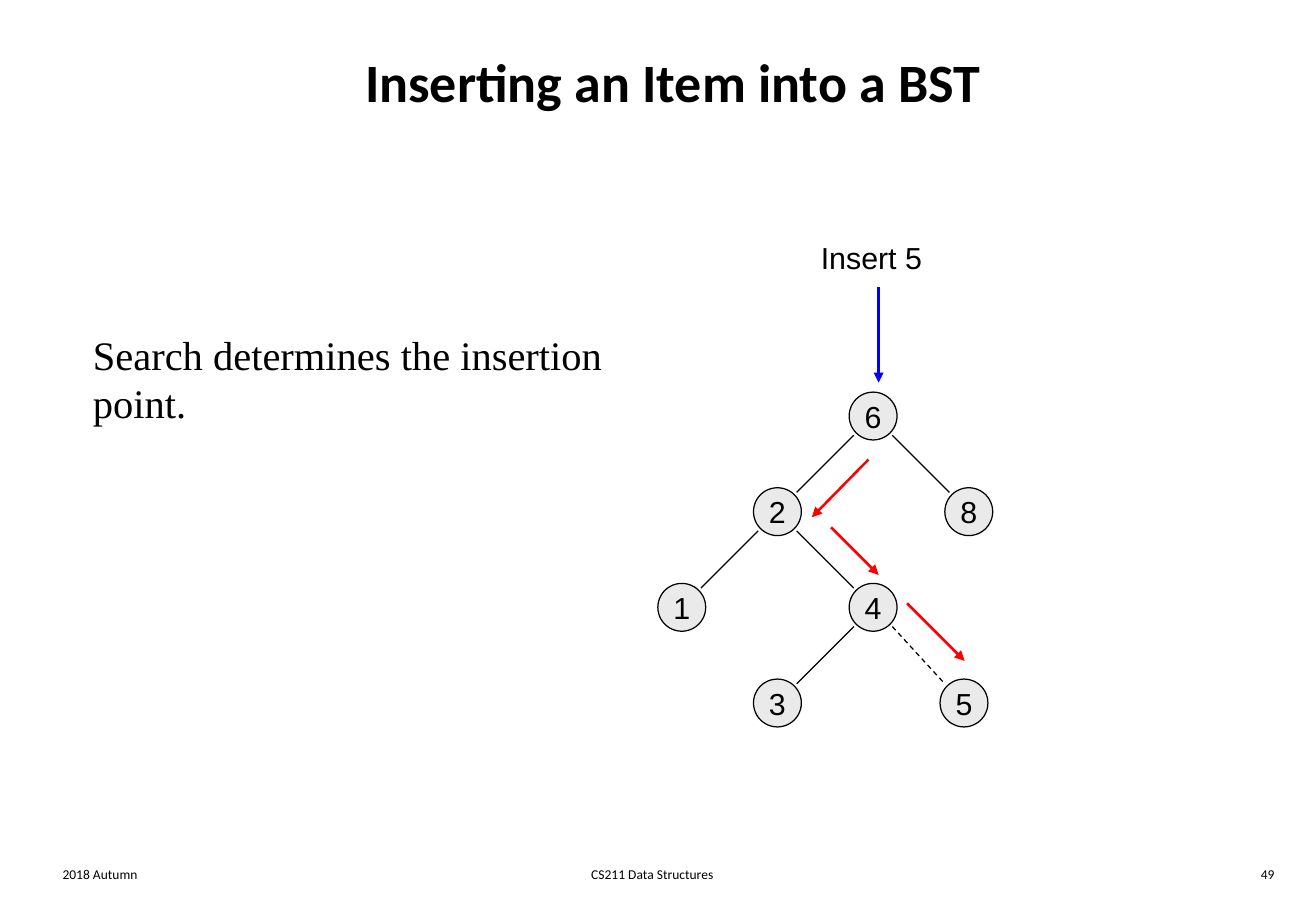
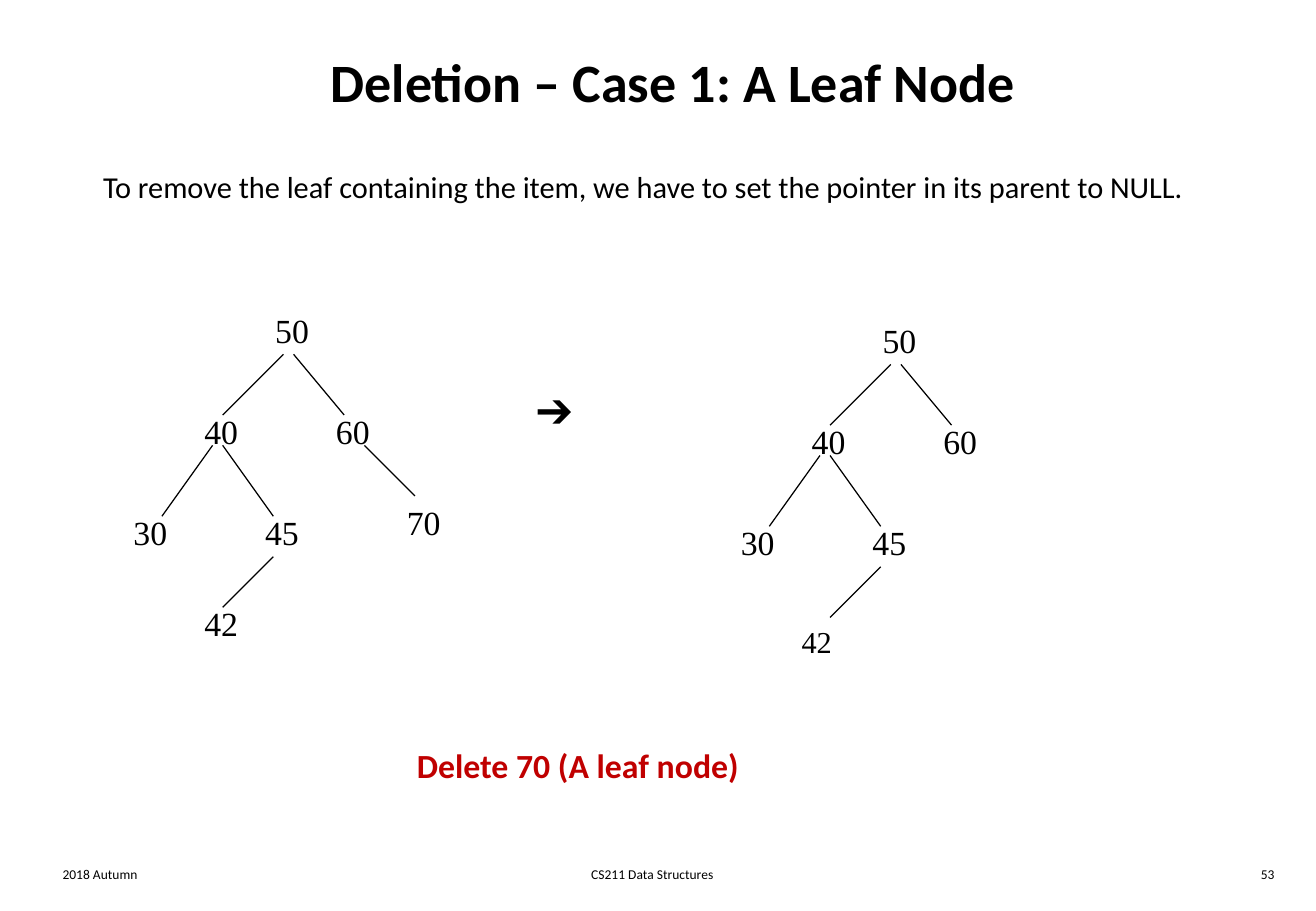
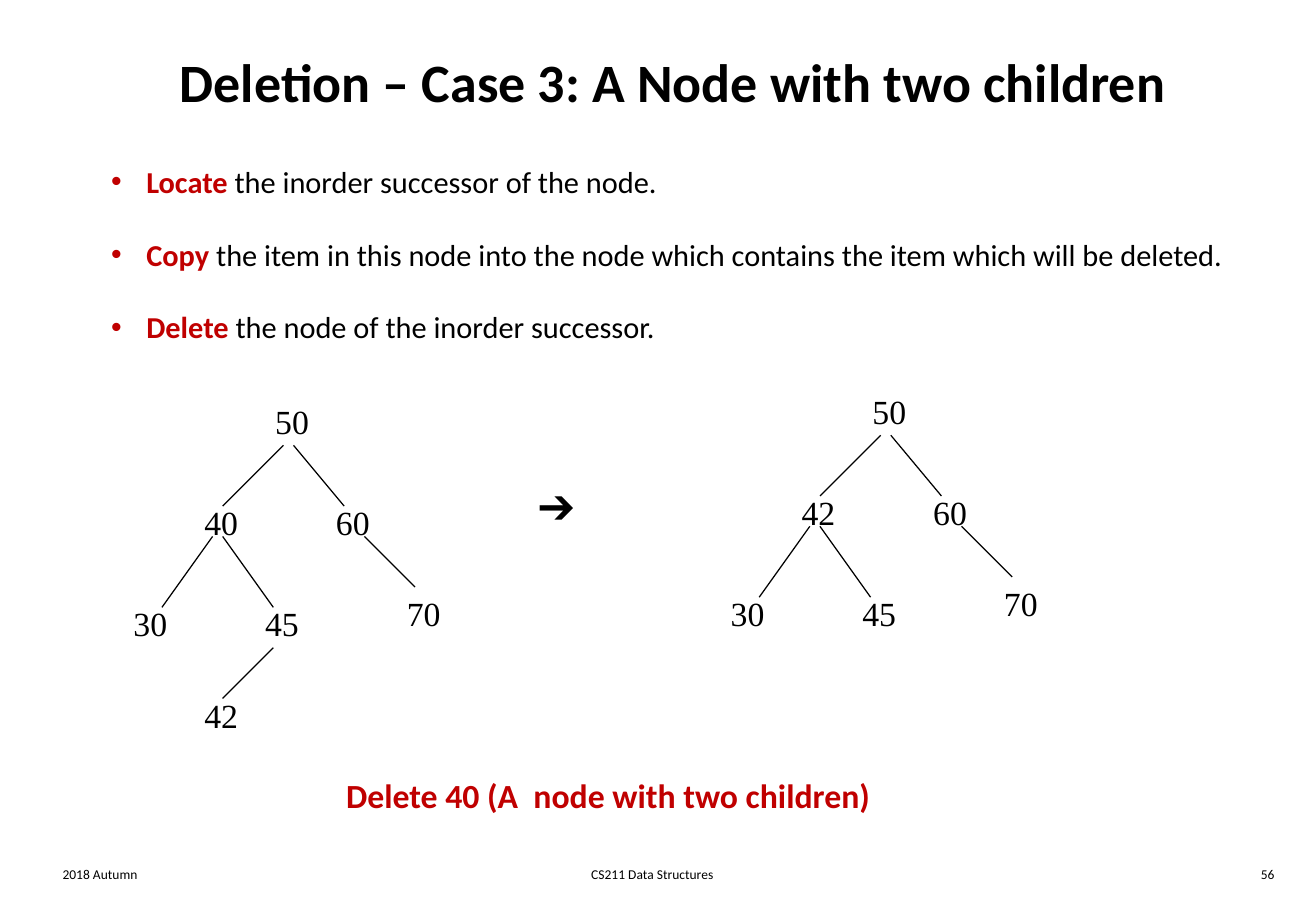
from dataclasses import dataclass, replace

from lxml.etree import SubElement
from pptx import Presentation
from pptx.dml.color import RGBColor
from pptx.enum.dml import MSO_LINE
from pptx.enum.shapes import MSO_CONNECTOR, MSO_SHAPE
from pptx.enum.text import MSO_ANCHOR, MSO_AUTO_SIZE, PP_ALIGN
from pptx.oxml.ns import qn
from pptx.util import Inches, Pt


@dataclass(frozen=True)
class Theme:
    """Colours, fonts and type sizes of the deck."""
    ink: str = "000000"
    accent: str = "C00000"
    node: str = "EAEAEA"
    entry: str = "0000FF"
    route: str = "FF0000"
    sans: str = "Calibri"
    serif: str = "Times New Roman"
    diagram: str = "Arial"
    title: int = 32
    lead: int = 24
    label: int = 20
    body: int = 18
    footer: int = 8
    thin: float = 0.75
    thick: float = 1.5


@dataclass(frozen=True)
class Slot:
    """A place in a deletion tree and the edge that leads to it, in grid cells."""
    column: float
    row: float
    edge: tuple = ()
    size: int = 20


THEME = Theme()
COLUMNS, ROWS = 130, 90
SLOTS = {
    "root": Slot(14, 0),
    "left": Slot(7, 10, (16, 5, 10, 11)),
    "right": Slot(20, 10, (17, 5, 22, 11)),
    "far left": Slot(0, 20, (9, 14, 4, 21)),
    "inner": Slot(13, 20, (10, 14, 15, 21)),
    "far right": Slot(27, 19, (24, 14, 29, 19)),
    "leaf": Slot(7, 29, (15, 25, 10, 30)),
}
FULL_TREE = {"root": "50", "left": "40", "right": "60", "far left": "30",
             "inner": "45", "far right": "70", "leaf": "42"}


def cells(*counts):
    """Turn counts of grid cells, a twelfth of an inch each, into lengths."""
    return [Inches(count / 12) for count in counts]


def style(span, size, font=THEME.sans, color=THEME.ink, bold=False):
    """Format one run of text."""
    span.font.size = Pt(size)
    span.font.name = font
    span.font.bold = bold
    span.font.color.rgb = RGBColor.from_string(color)


def write(box, text, size, align=PP_ALIGN.LEFT, **look):
    """Fill a shape with one formatted paragraph."""
    box.text_frame.text = text
    para = box.text_frame.paragraphs[0]
    para.alignment = align
    style(para.runs[0], size, **look)


def add_label(page, area, text, size, wrap=False, **look):
    """Add a text box at column, row, width, height."""
    box = page.shapes.add_textbox(*cells(*area))
    box.text_frame.word_wrap = wrap
    write(box, text, size, **look)


def add_line(page, ends, color=THEME.ink, width=THEME.thin, dashed=False, arrow=False):
    """Draw a straight line, if wanted dashed or with an arrowhead."""
    line = page.shapes.add_connector(MSO_CONNECTOR.STRAIGHT, *cells(*ends))
    line.line.color.rgb = RGBColor.from_string(color)
    line.line.width = Pt(width)
    if dashed:
        line.line.dash_style = MSO_LINE.DASH
    properties = line._element.spPr
    if arrow:
        SubElement(properties.find(qn("a:ln")), qn("a:tailEnd"), type="triangle")
    SubElement(properties, qn("a:effectLst"))


def add_page(deck, title, number):
    """Add a slide with its title and footer."""
    page = deck.slides.add_slide(deck.slide_layouts[5])
    heading = page.shapes.title
    heading.left, heading.top, heading.width, heading.height = cells(5, 2, 123, 12)
    write(heading, title, THEME.title, align=PP_ALIGN.CENTER, bold=True)
    heading.text_frame.vertical_anchor = MSO_ANCHOR.MIDDLE
    heading.text_frame.auto_size = MSO_AUTO_SIZE.NONE
    for column, width, text, align in (
            (5, 27.1, "2018 Autumn", PP_ALIGN.LEFT),
            (40.1, 48.7, "CS211 Data Structures", PP_ALIGN.CENTER),
            (100, 27.1, number, PP_ALIGN.RIGHT)):
        add_label(page, (column, 85, width, 3), text, THEME.footer, wrap=True, align=align)
    return page


def add_search_tree(page, nodes, edges, new_node):
    """Draw a tree of round nodes, with a dashed edge to the new node."""
    pitch, size, trim = 9.45, 4.73, 1.9
    centres = {name: (67.35 + pitch * column, 41.1 + pitch * row)
               for name, (column, row) in nodes.items()}
    for name, (x, y) in centres.items():
        node = page.shapes.add_shape(
            MSO_SHAPE.OVAL, *cells(x - size / 2, y - size / 2, size, size))
        node.shadow.inherit = False
        node.fill.solid()
        node.fill.fore_color.rgb = RGBColor.from_string(THEME.node)
        node.line.color.rgb = RGBColor.from_string(THEME.ink)
        node.line.width = Pt(THEME.thin)
        frame = node.text_frame
        frame.margin_left = frame.margin_right = frame.margin_top = frame.margin_bottom = 0
        frame.word_wrap = False
        frame.vertical_anchor = MSO_ANCHOR.MIDDLE
        write(node, name, THEME.body, align=PP_ALIGN.CENTER, font=THEME.diagram)
    for parent, child in edges:
        (x1, y1), (x2, y2) = centres[parent], centres[child]
        shift = trim if x2 > x1 else -trim
        add_line(page, (x1 + shift, y1 + trim, x2 - shift, y2 - trim),
                 dashed=child == new_node)


def add_deletion_tree(page, column, row, labels, slots=SLOTS):
    """Draw a tree of plain numbers from its top left grid cell."""
    for name, text in labels.items():
        slot = slots[name]
        if slot.edge:
            x1, y1, x2, y2 = slot.edge
            add_line(page, (column + x1, row + y1, column + x2, row + y2))
        add_label(page, (column + slot.column, row + slot.row, 5.75, 5.2),
                  text, slot.size, font=THEME.serif)


def add_steps(page, area, steps):
    """Add a bulleted list whose items open with a highlighted word."""
    frame = page.shapes.add_textbox(*cells(*area)).text_frame
    frame.word_wrap = False
    for index, (keyword, rest) in enumerate(steps):
        para = frame.add_paragraph() if index else frame.paragraphs[0]
        para.space_before = Pt(21.6 if index else 0)
        properties = para._p.get_or_add_pPr()
        properties.set("marL", str(Inches(0.29)))
        properties.set("indent", str(-Inches(0.29)))
        SubElement(properties, qn("a:buFont"), typeface=THEME.diagram)
        SubElement(properties, qn("a:buChar"), char="•")
        for text, color, bold in ((keyword, THEME.accent, True), (rest, THEME.ink, False)):
            span = para.add_run()
            span.text = text
            style(span, THEME.body, color=color, bold=bold)


def build_insertion(deck):
    """Build the slide on inserting an item."""
    page = add_page(deck, "Inserting an Item into a BST", "49")
    nodes = {"6": (2, 0), "2": (1, 1), "8": (3, 1), "1": (0, 2),
             "4": (2, 2), "3": (1, 3), "5": (2.95, 3)}
    add_search_tree(page, nodes, ("62", "68", "21", "24", "43", "45"), new_node="5")
    add_label(page, (79.9, 23, 12.4, 4.8), "Insert 5", THEME.body, font=THEME.diagram)
    add_line(page, (86.8, 28.4, 86.8, 37.8), THEME.entry, THEME.thick, arrow=True)
    for ends in ((85.8, 45.4, 80.2, 51.1), (82.1, 52.1, 86.8, 56.8), (89.6, 59.6, 95.3, 65.3)):
        add_line(page, ends, THEME.route, THEME.thick, arrow=True)
    add_label(page, (8, 32, 57, 10), "Search determines the insertion point.",
              THEME.lead, wrap=True, font=THEME.serif)


def build_leaf_deletion(deck):
    """Build the slide on deleting a leaf."""
    page = add_page(deck, "Deletion – Case 1: A Leaf Node", "53")
    add_label(page, (9, 16, 110.3, 4.8),
              "To remove the leaf containing the item, we have to set the pointer "
              "in its parent to NULL.", THEME.body)
    add_deletion_tree(page, 12, 30, FULL_TREE)
    add_label(page, (51.8, 37.5, 6.7, 6), "➔", THEME.lead, font=THEME.serif)
    remaining = {name: text for name, text in FULL_TREE.items() if text != "70"}
    lowered = replace(SLOTS["leaf"], column=6, row=30, size=THEME.body)
    add_deletion_tree(page, 72, 31, remaining, {**SLOTS, "leaf": lowered})
    add_label(page, (40, 73, 34.6, 5.3), "Delete 70 (A leaf node)",
              THEME.label, color=THEME.accent, bold=True)


def build_two_children_deletion(deck):
    """Build the slide on deleting a node with two children."""
    page = add_page(deck, "Deletion – Case 3: A Node with two children", "56")
    add_steps(page, (9.8, 15.5, 112.3, 19.4), (
        ("Locate", " the inorder successor of the node."),
        ("Copy", " the item in this node into the node which contains the item "
                 "which will be deleted."),
        ("Delete", " the node of the inorder successor.")))
    add_deletion_tree(page, 12, 39, FULL_TREE)
    add_label(page, (52, 47, 6.7, 6), "➔", THEME.lead, font=THEME.serif)
    remaining = {name: text for name, text in FULL_TREE.items() if name != "leaf"}
    add_deletion_tree(page, 71, 38, {**remaining, "left": "42"})
    add_label(page, (33, 76, 54.6, 5.3), "Delete 40 (A  node with two children)",
              THEME.label, color=THEME.accent, bold=True)


def main():
    """Build and save the deck."""
    deck = Presentation()
    deck.slide_width, deck.slide_height = cells(COLUMNS, ROWS)
    build_insertion(deck)
    build_leaf_deletion(deck)
    build_two_children_deletion(deck)
    deck.save("out.pptx")


if __name__ == "__main__":
    main()
